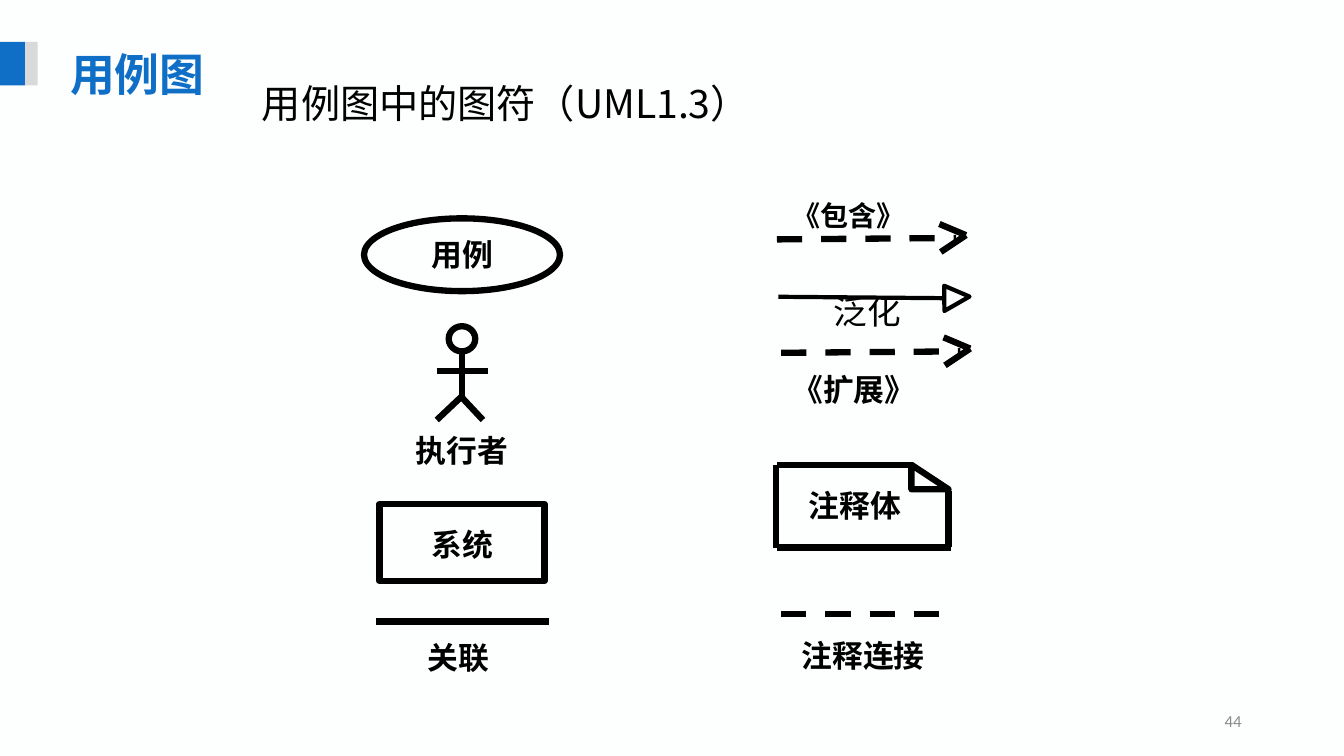
import lxml.etree
import pptx
import pptx.dml.color
import pptx.enum.dml
import pptx.enum.shapes
import pptx.enum.text
import pptx.oxml.ns
import pptx.util

Pt = pptx.util.Pt
Shape = pptx.enum.shapes.MSO_SHAPE
Align = pptx.enum.text.PP_ALIGN
Anchor = pptx.enum.text.MSO_ANCHOR
qn = pptx.oxml.ns.qn

BLACK, BLUE, LIGHT_GRAY, GRAY = "000000", "0F6FC6", "D9D9D9", "898989"
SANS, SERIF = "Noto Sans CJK SC", "Times New Roman"


def color(value):
    return pptx.dml.color.RGBColor.from_string(value)


class Canvas:
    """Draws on one slide with a shared line and label style."""

    line_width = 4.5

    def __init__(self, slide):
        self.slide = slide

    def shape(self, preset, left, top, width, height, fill=None, line_width=line_width):
        """Add a filled shape without outline, or an outlined one without fill."""
        shape = self.slide.shapes.add_shape(preset, Pt(left), Pt(top), Pt(width), Pt(height))
        shape.shadow.inherit = False
        if fill:
            shape.fill.solid()
            shape.fill.fore_color.rgb = color(fill)
            shape.line.fill.background()
        else:
            shape.fill.background()
            shape.line.color.rgb = color(BLACK)
            shape.line.width = Pt(line_width)
        return shape

    def line(self, x1, y1, x2, y2, dashed=False, width=line_width):
        line = self.slide.shapes.add_connector(
            pptx.enum.shapes.MSO_CONNECTOR.STRAIGHT, Pt(x1), Pt(y1), Pt(x2), Pt(y2))
        line.line.color.rgb = color(BLACK)
        line.line.width = Pt(width)
        if dashed:
            line.line.dash_style = pptx.enum.dml.MSO_LINE.DASH
        properties = line._element.find(qn("p:spPr"))
        lxml.etree.SubElement(properties, qn("a:effectLst"))

    def dashed_arrow(self, left, top):
        """Add a dashed arrow with an open head; its tail is at left, top."""
        self.line(left, top, left + 128, top - 1, dashed=True)
        for dx, dy in ((116, -11), (117, 9)):
            self.line(left + dx, top + dy, left + 135, top - 3)

    def text(self, text, left, top, width, height, size=22, font=SERIF, fill=BLACK,
             bold=True, align=Align.CENTER, anchor=Anchor.TOP, spacing=1.0, wrap=False):
        box = self.slide.shapes.add_textbox(Pt(left), Pt(top), Pt(width), Pt(height))
        frame = box.text_frame
        frame.word_wrap = wrap
        frame.vertical_anchor = anchor
        paragraph = frame.paragraphs[0]
        paragraph.text = text
        paragraph.alignment = align
        paragraph.line_spacing = spacing
        paragraph.font.name = font
        paragraph.font.size = Pt(size)
        paragraph.font.bold = bold
        paragraph.font.color.rgb = color(fill)


def draw_header(canvas):
    canvas.shape(Shape.RECTANGLE, 0, 30, 18, 31, fill=BLUE)
    canvas.shape(Shape.RECTANGLE, 18, 30, 9, 31, fill=LIGHT_GRAY)
    canvas.text("用例图", 43, 29.5, 563, 46, size=32, font=SANS, fill=BLUE,
                align=Align.LEFT, wrap=True)
    canvas.text("用例图中的图符（UML1.3）", 180, 54.5, 600, 42, size=28, font=SANS, bold=False,
                align=Align.LEFT, anchor=Anchor.MIDDLE, spacing=0.9, wrap=True)
    canvas.text("44", 678, 500.5, 216, 29, size=12, font="Calibri", fill=GRAY, bold=False,
                align=Align.RIGHT, anchor=Anchor.MIDDLE, wrap=True)


def draw_elements(canvas):
    """Left column: use case, actor, system and association."""
    canvas.shape(Shape.OVAL, 260, 156, 140, 52)
    canvas.text("用例", 284, 168, 93, 35, spacing=0.9)

    canvas.shape(Shape.OVAL, 320.5, 233, 19, 18)
    for limb in ((312, 265, 348.5, 265), (330, 251, 330, 286),
                 (330, 283, 312, 300), (330, 284, 345, 300)):
        canvas.line(*limb)
    canvas.text("执行者", 287, 304.5, 86, 40)

    canvas.shape(Shape.RECTANGLE, 271, 360, 118, 55)
    canvas.text("系统", 284, 366.5, 93, 35, spacing=1.2)

    canvas.line(268.5, 444, 392, 444)
    canvas.text("关联", 287, 453, 81, 32)


def draw_relations(canvas):
    """Right column: include, generalization, extend, note and note link."""
    canvas.text("《包含》", 558, 138, 96, 32, size=20)
    canvas.dashed_arrow(555, 171)

    canvas.line(556, 212, 675, 213, width=3)
    head = canvas.shape(Shape.ISOSCELES_TRIANGLE, 674.5, 204, 18, 18, line_width=3)
    head.rotation = 89.5
    head.adjustments[0] = 0.44
    canvas.text("泛化", 588, 204, 63, 36, size=24, bold=False)

    canvas.dashed_arrow(558, 252)
    canvas.text("《扩展》", 551.5, 261, 117, 41)

    canvas.shape(Shape.RIGHT_TRIANGLE, 651, 332, 26.5, 17.5)
    for edge in ((555, 332, 651, 332), (555, 391, 679, 391),
                 (677.5, 351, 677.5, 391), (554.5, 332, 554.5, 391.5)):
        canvas.line(*edge)
    canvas.text("注释体", 564, 338.5, 93, 42, spacing=1.2)

    canvas.line(558, 438.5, 675, 438.5, dashed=True)
    canvas.text("注释连接", 558, 451, 117, 35)


def main():
    presentation = pptx.Presentation()
    presentation.slide_width, presentation.slide_height = Pt(960), Pt(540)
    slide = presentation.slides.add_slide(presentation.slide_layouts[6])
    slide.background.fill.solid()
    slide.background.fill.fore_color.rgb = color("FDFEFE")
    canvas = Canvas(slide)
    draw_header(canvas)
    draw_elements(canvas)
    draw_relations(canvas)
    presentation.save("out.pptx")


if __name__ == "__main__":
    main()
